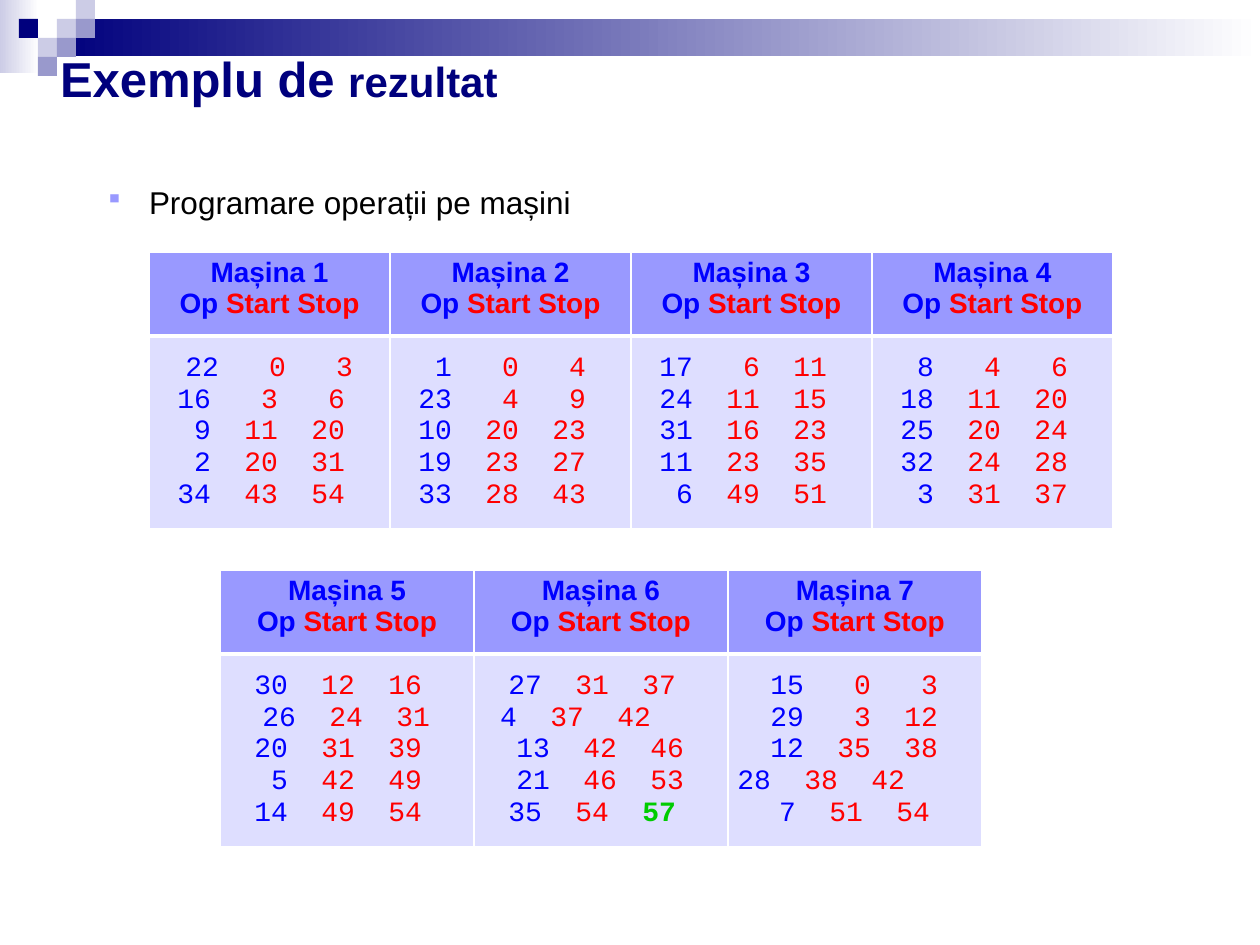
from lxml import etree
from pptx import Presentation
from pptx import util as u
from pptx.dml.color import RGBColor
from pptx.enum import shapes, text
from pptx.oxml.ns import qn

NAVY = RGBColor(0x00, 0x00, 0x7D)
SLATE = RGBColor(0x99, 0x99, 0xCC)
MIST = RGBColor(0xCC, 0xCC, 0xE6)
HEADER = RGBColor(0x99, 0x99, 0xFF)
BODY = RGBColor(0xDE, 0xDE, 0xFF)
WHITE = RGBColor(0xFF, 0xFF, 0xFF)
BLACK = RGBColor(0x00, 0x00, 0x00)
BLUE = RGBColor(0x00, 0x00, 0xFF)
RED = RGBColor(0xFF, 0x00, 0x00)
GREEN = RGBColor(0x00, 0xCC, 0x00)

SQUARE = 19
SQUARES = [(3, 1, MIST), (4, 0, MIST), (4, 1, SLATE), (2, 2, MIST),
           (1, 1, NAVY), (3, 2, SLATE), (2, 3, SLATE)]

# Each row of a machine: operation, start, stop
MACHINES = {
    1: [(22, 0, 3), (16, 3, 6), (9, 11, 20), (2, 20, 31), (34, 43, 54)],
    2: [(1, 0, 4), (23, 4, 9), (10, 20, 23), (19, 23, 27), (33, 28, 43)],
    3: [(17, 6, 11), (24, 11, 15), (31, 16, 23), (11, 23, 35), (6, 49, 51)],
    4: [(8, 4, 6), (18, 11, 20), (25, 20, 24), (32, 24, 28), (3, 31, 37)],
    5: [(30, 12, 16), (26, 24, 31), (20, 31, 39), (5, 42, 49), (14, 49, 54)],
    6: [(27, 31, 37), (4, 37, 42), (13, 42, 46), (21, 46, 53), (35, 54, 57)],
    7: [(15, 0, 3), (29, 3, 12), (12, 35, 38), (28, 38, 42), (7, 51, 54)],
}
MAKESPAN = max(stop for rows in MACHINES.values() for _, _, stop in rows)
# Rows set off from the centre of their column, by operation
OFFSETS = {22: 8, 26: 8, 13: 8, 21: 8, 15: 8, 29: 8, 12: 8, 4: -25, 28: -25}

HEADER_HEIGHT, BODY_HEIGHT = 84, 193
CELL_INSETS = (9, 5, 9, 5)
LINE_WIDTH, NUMBER_WIDTH, NUMBER_STEP = 185, 34, 67


def px(length):
    return u.Emu(round(length * 914400 / 126))


def write(paragraph, content, size=16, color=BLACK, bold=False, font="Arial"):
    """Add one formatted span to a paragraph."""
    span = paragraph.add_run()
    span.text = content
    span.font.size = u.Pt(size)
    span.font.color.rgb = color
    span.font.bold = bold
    span.font.name = font


def set_tabs(paragraph, stops):
    """Give a paragraph right-aligned tab stops."""
    tabs = etree.SubElement(paragraph._p.get_or_add_pPr(), qn("a:tabLst"))
    for stop in stops:
        etree.SubElement(tabs, qn("a:tab"), pos=str(px(stop)), algn="r")


def set_bullet(paragraph, mark, color, percent):
    properties = paragraph._p.get_or_add_pPr()
    properties.set("marL", str(px(60)))
    properties.set("indent", str(px(-44)))
    tint = etree.SubElement(properties, qn("a:buClr"))
    etree.SubElement(tint, qn("a:srgbClr"), val=str(color))
    etree.SubElement(properties, qn("a:buSzPct"), val=str(percent * 1000))
    etree.SubElement(properties, qn("a:buChar"), char=mark)


def set_borders(cell, top, bottom):
    """Draw white borders, one point wide at the sides."""
    properties = cell._tc.get_or_add_tcPr()
    widths = {"L": 1, "R": 1, "T": top, "B": bottom}
    for index, (side, width) in enumerate(widths.items()):
        line = etree.Element(qn(f"a:ln{side}"), w=str(u.Pt(width)))
        fill = etree.SubElement(line, qn("a:solidFill"))
        etree.SubElement(fill, qn("a:srgbClr"), val=str(WHITE))
        properties.insert(index, line)


class Page:
    """A slide together with the style of its elements."""

    def __init__(self, deck):
        self.slide = deck.slides.add_slide(deck.slide_layouts[6])

    def rectangle(self, left, top, width, height, color, fade_to=None):
        box = self.slide.shapes.add_shape(
            shapes.MSO_SHAPE.RECTANGLE, *map(px, (left, top, width, height)))
        box.shadow.inherit = False
        box.line.fill.background()
        if fade_to is None:
            box.fill.solid()
            box.fill.fore_color.rgb = color
            return
        box.fill.gradient()
        box.fill.gradient_angle = 0
        for stop, position, tone in zip(box.fill.gradient_stops, (0, 1), (color, fade_to)):
            stop.position = position
            stop.color.rgb = tone

    def text_box(self, left, top, width, height, insets):
        """Add a text box and return its first paragraph."""
        box = self.slide.shapes.add_textbox(*map(px, (left, top, width, height)))
        frame = box.text_frame
        frame.word_wrap = True
        frame.margin_left, frame.margin_top, frame.margin_right, frame.margin_bottom = map(px, insets)
        return frame.paragraphs[0]

    def cell(self, cell, color, top, bottom):
        cell.margin_left, cell.margin_top, cell.margin_right, cell.margin_bottom = map(px, CELL_INSETS)
        cell.fill.solid()
        cell.fill.fore_color.rgb = color
        set_borders(cell, top, bottom)

    def header(self, cell, machine):
        self.cell(cell, HEADER, 1, 3)
        name = cell.text_frame.paragraphs[0]
        labels = cell.text_frame.add_paragraph()
        name.alignment = labels.alignment = text.PP_ALIGN.CENTER
        write(name, f"Mașina {machine}", color=BLUE, bold=True)
        write(labels, "Op ", color=BLUE, bold=True)
        write(labels, "Start Stop", color=RED, bold=True)

    def schedule(self, cell, rows, width):
        self.cell(cell, BODY, 3, 1)
        cell.vertical_anchor = text.MSO_ANCHOR.MIDDLE
        first_stop = (width - 2 * CELL_INSETS[0] - LINE_WIDTH) // 2 + NUMBER_WIDTH
        for index, (operation, start, stop) in enumerate(rows):
            frame = cell.text_frame
            paragraph = frame.add_paragraph() if index else frame.paragraphs[0]
            offset = first_stop + OFFSETS.get(operation, 0)
            set_tabs(paragraph, [offset + step * NUMBER_STEP for step in range(3)])
            last = stop == MAKESPAN
            for number, color in ((operation, BLUE), (start, RED), (stop, GREEN if last else RED)):
                write(paragraph, f"\t{number}", color=color,
                      bold=color == GREEN, font="Courier New")

    def machine_table(self, left, top, column_width, machines):
        table = self.slide.shapes.add_table(
            2, len(machines), px(left), px(top), px(column_width * len(machines)),
            px(HEADER_HEIGHT + BODY_HEIGHT)).table
        table.horz_banding = False
        table.rows[0].height, table.rows[1].height = px(HEADER_HEIGHT), px(BODY_HEIGHT)
        for column, machine in enumerate(machines):
            table.columns[column].width = px(column_width)
            self.header(table.cell(0, column), machine)
            self.schedule(table.cell(1, column), MACHINES[machine], column_width)


def main():
    deck = Presentation()
    deck.slide_width, deck.slide_height = px(1260), px(945)
    page = Page(deck)

    page.rectangle(0, 0, 39, 73, MIST, fade_to=WHITE)
    page.rectangle(57, 19, 1203, 37, NAVY, fade_to=WHITE)
    for column, row, color in SQUARES:
        page.rectangle(column * SQUARE, row * SQUARE, SQUARE, SQUARE, color)

    page.machine_table(149, 252, 241, range(1, 5))
    page.machine_table(220, 570, 254, range(5, 8))

    subject = page.text_box(84, 174, 1153, 514, (5, 9, 9, 5))
    subject.alignment = text.PP_ALIGN.JUSTIFY
    set_bullet(subject, "▪", HEADER, 80)
    write(subject, "Programare operații pe mașini", size=18)

    title = page.text_box(48, 42, 1165, 118, (12, 6, 12, 6))
    write(title, "Exemplu de ", size=28, color=NAVY, bold=True)
    write(title, "rezultat", size=24, color=NAVY, bold=True)

    deck.save("out.pptx")


if __name__ == "__main__":
    main()
